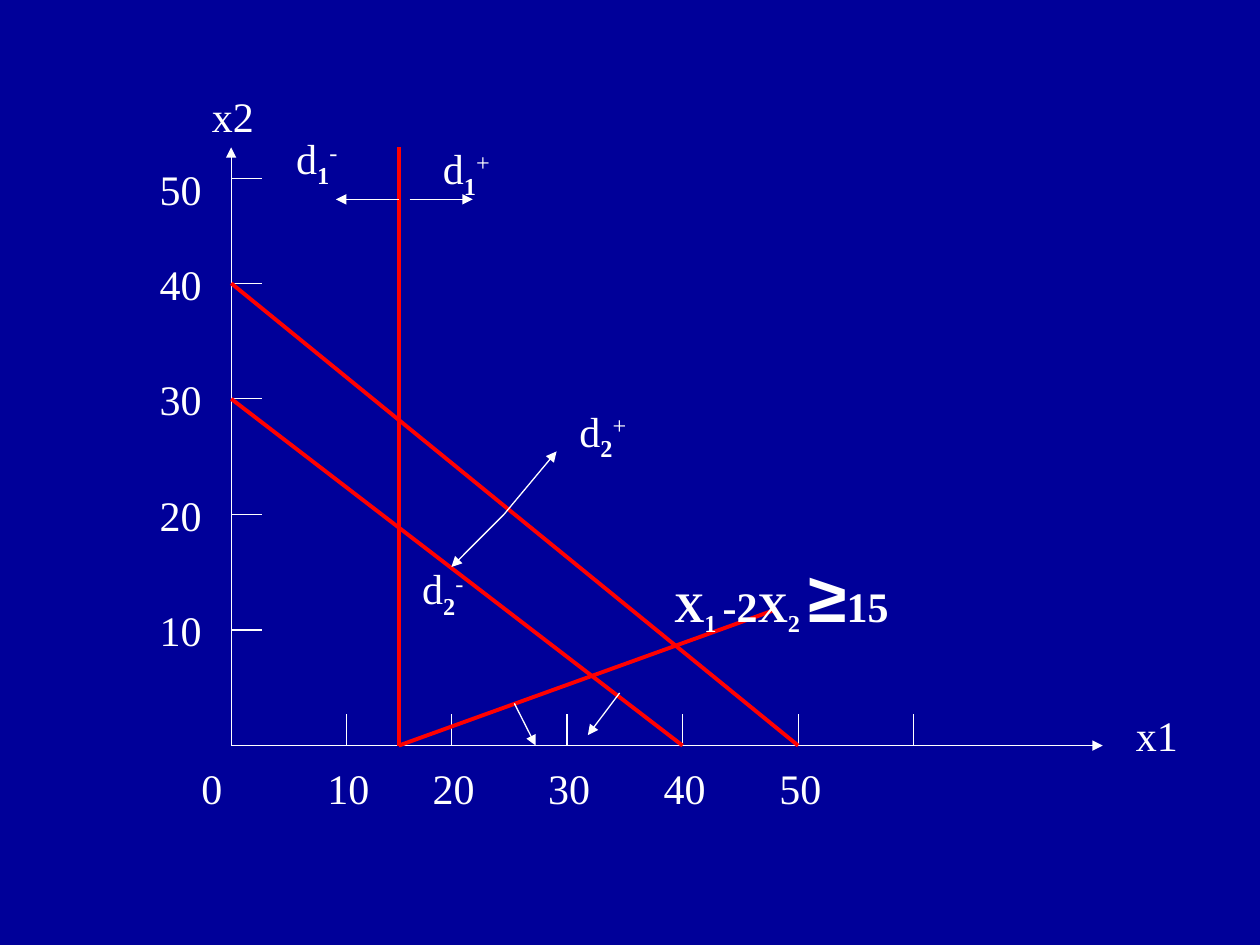
from lxml import etree
from pptx import Presentation
from pptx.dml.color import RGBColor
from pptx.enum.shapes import MSO_CONNECTOR
from pptx.enum.text import MSO_AUTO_SIZE
from pptx.oxml.ns import qn
from pptx.util import Cm, Pt

STRAIGHT = MSO_CONNECTOR.STRAIGHT
GROW = MSO_AUTO_SIZE.SHAPE_TO_FIT_TEXT
WHITE, RED, NAVY = "FFFFFF", "FF0000", "000099"
SUB, SUPER = -25, 30


def color(value):
    return RGBColor.from_string(value)


class Graph:
    """Style and current slide of the goal programming graph."""

    font = "Times New Roman"
    size = 24

    def __init__(self, page):
        self.page = page
        page.background.fill.solid()
        page.background.fill.fore_color.rgb = color(NAVY)

    def line(self, start, end, shade=WHITE, width=0.75, arrow=False):
        points = [Cm(value) for value in (*start, *end)]
        connector = self.page.shapes.add_connector(STRAIGHT, *points)
        connector.line.color.rgb = color(shade)
        connector.line.width = Pt(width)
        if arrow:
            outline = connector.line._get_or_add_ln()
            etree.SubElement(outline, qn("a:tailEnd"), type="triangle")
        etree.SubElement(connector._element.spPr, qn("a:effectLst"))

    def arrow(self, start, end):
        self.line(start, end, arrow=True)

    def constraint(self, start, end):
        self.line(start, end, RED, 2.25)

    def text(self, left, top, width, height, *parts, bold=None):
        """Each part is (text, options); options: base, bold, size, font."""
        box = self.page.shapes.add_textbox(Cm(left), Cm(top), Cm(width), Cm(height))
        frame = box.text_frame
        frame.word_wrap = True
        frame.auto_size = GROW
        para = frame.paragraphs[0]
        para.font.name = self.font
        para.font.size = Pt(self.size)
        para.font.bold = bold
        para.font.color.rgb = color(WHITE)
        for words, options in parts:
            span = para.add_run()
            span.text = words
            if "bold" in options:
                span.font.bold = options["bold"]
            if "size" in options:
                span.font.size = Pt(options["size"])
            if "font" in options:
                span.font.name = options["font"]
            if "base" in options:
                span._r.get_or_add_rPr().set("baseline", str(options["base"] * 1000))

    def label(self, left, top, words):
        self.text(left, top, 1.7, 1.27, (words, {}))

    def deviation(self, left, top, index, sign):
        self.text(left, top, 1.9, 1.42, ("d", {}),
                  (index, {"base": SUB, "bold": True}), (sign, {"base": SUPER}))


def main():
    deck = Presentation()
    deck.slide_width, deck.slide_height = Cm(25.4), Cm(19.05)
    graph = Graph(deck.slides.add_slide(deck.slide_layouts[6]))

    # Axes
    left, bottom, top = 4.66, 15.03, 2.97
    tick = 0.63
    graph.arrow((left, bottom), (22.23, bottom))
    graph.arrow((left, bottom), (left, top))
    graph.label(22.65, 14.18, "x1")
    graph.label(4.02, 1.7, "x2")
    graph.label(3.81, 15.24, "0")

    # Ticks and their values
    x_ticks = {10: 6.98, 20: 9.1, 30: 11.43, 40: 13.76, 50: 16.09, 60: 18.41}
    y_ticks = {10: 12.7, 20: 10.37, 30: 8.04, 40: 5.71, 50: 3.6}
    for value, x in x_ticks.items():
        graph.line((x, bottom), (x, bottom - tick))
        if value <= 50:
            graph.label(x - tick, 15.24, str(value))
    for value, y in y_ticks.items():
        graph.line((left, y), (left + tick, y))
        graph.label(2.97, y - (0.42 if value == 50 else tick), str(value))

    # Constraint lines
    goal = 8.04
    graph.constraint((goal, bottom), (goal, top))
    graph.constraint((left, y_ticks[40]), (x_ticks[50], bottom))
    graph.constraint((left, y_ticks[30]), (x_ticks[40], bottom))
    graph.constraint((goal, bottom), (15.66, 12.28))

    # Deviations from the first goal
    graph.arrow((8.26, 4.02), (9.53, 4.02))
    graph.arrow((goal, 4.02), (6.77, 4.02))
    graph.deviation(8.68, 2.75, "1", "+")
    graph.deviation(5.72, 2.54, "1", "-")

    # Deviations from the second goal
    graph.arrow((10.16, 10.37), (11.22, 9.1))
    graph.arrow((10.16, 10.37), (9.1, 11.43))
    graph.deviation(11.43, 8.04, "2", "+")
    graph.deviation(8.26, 11.22, "2", "-")

    # Feasible side of the lower constraints
    graph.arrow((12.49, 13.97), (11.85, 14.82))
    graph.arrow((10.37, 14.18), (10.8, bottom))
    graph.text(13.34, 11.01, 5.5, 2.08,
               ("X", {}), ("1 ", {"base": SUB}), ("-2X", {}), ("2", {"base": SUB}),
               (" ", {"base": SUB, "size": 32}), ("≥", {"size": 40, "font": "Arial"}),
               ("15", {}), bold=True)

    deck.save("out.pptx")


if __name__ == "__main__":
    main()
